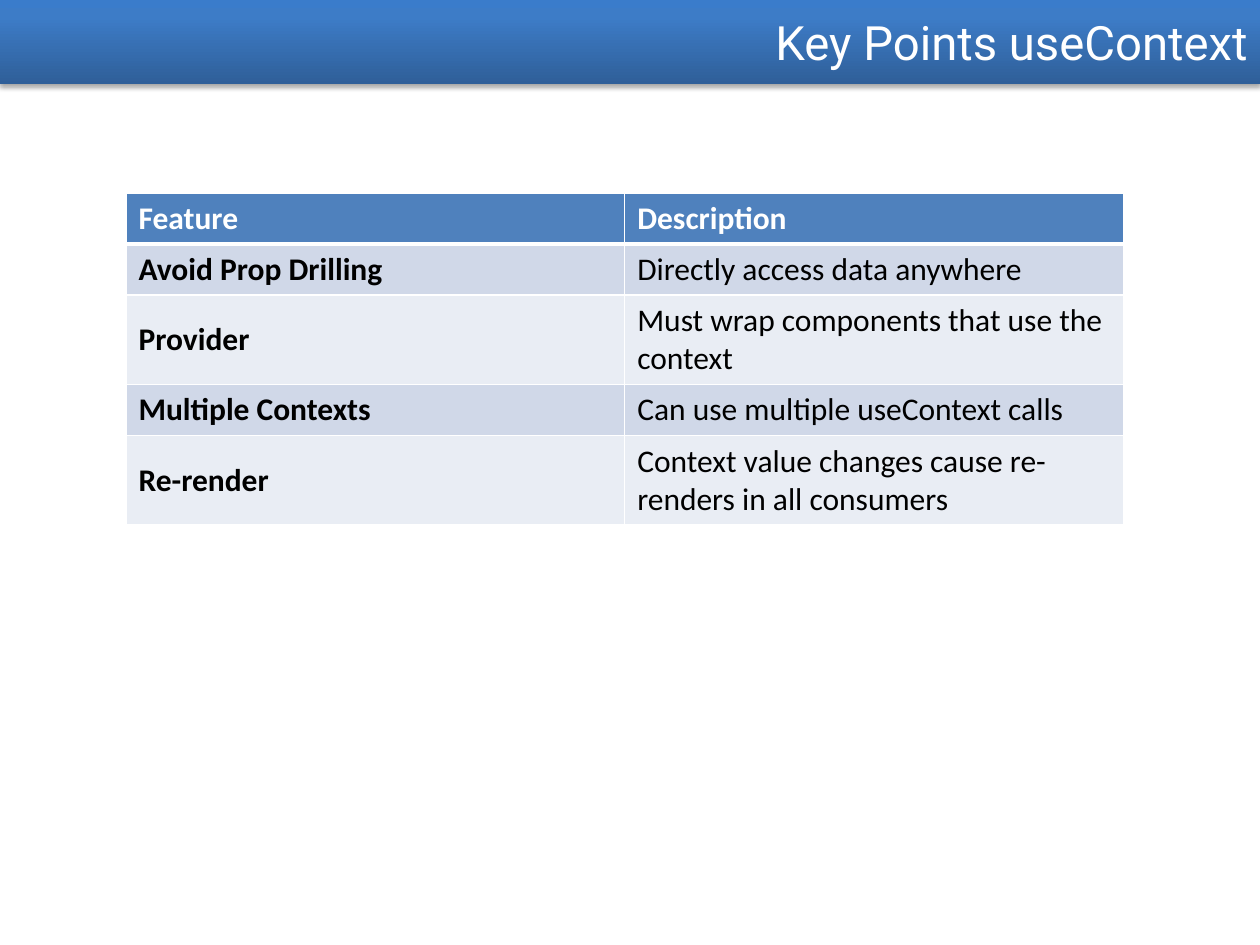
from copy import deepcopy
from dataclasses import dataclass

from lxml.etree import SubElement
from pptx import Presentation
from pptx.dml.color import RGBColor
from pptx.enum.shapes import MSO_SHAPE
from pptx.enum.text import MSO_ANCHOR, PP_ALIGN
from pptx.oxml.ns import qn
from pptx.util import Pt

WHITE, BLACK, HEADER = "FFFFFF", "000000", "4F81BD"
BANDS = ("D0D8E8", "E9EDF4")
BANNER_STOPS = ((0, "2F5F99"), (0.8, "3D7CC7"), (1, "3A7CCB"))
ROW_HEIGHT, TABLE_HEIGHT = 29.2, 188.64


@dataclass
class TableRow:
    """One feature row, with its colours and bottom border width."""

    feature: str
    description: str
    fill: str
    color: str = BLACK
    description_bold: bool = False
    bottom_border: float = 1


HEADING = TableRow("Feature", "Description", HEADER, WHITE, True, 3)
POINTS = (
    ("Avoid Prop Drilling", "Directly access data anywhere"),
    ("Provider", "Must wrap components that use the context"),
    ("Multiple Contexts", "Can use multiple useContext calls"),
    ("Re-render", "Context value changes cause re-renders in all consumers"),
)
ROWS = [HEADING] + [
    TableRow(feature, description, BANDS[index % 2])
    for index, (feature, description) in enumerate(POINTS)
]


def rgb(color: str) -> RGBColor:
    """Turn a hex string into a colour."""
    return RGBColor.from_string(color)


def write_text(frame, text: str, *, size: float, font: str, color: str,
               bold: bool = False, align=PP_ALIGN.LEFT) -> None:
    """Write one formatted paragraph into a text frame."""
    frame.word_wrap = True
    paragraph = frame.paragraphs[0]
    paragraph.alignment = align
    run = paragraph.add_run()
    run.text = text
    run.font.size = Pt(size)
    run.font.name = font
    run.font.bold = bold
    run.font.color.rgb = rgb(color)


def add_shadow(shape) -> None:
    """Give a shape a soft shadow straight below it."""
    shape.shadow.inherit = False
    effects = shape.element.spPr.find(qn("a:effectLst"))
    shadow = SubElement(effects, qn("a:outerShdw"), blurRad=str(Pt(3.1)),
                        dist=str(Pt(1.8)), dir="5400000", rotWithShape="0")
    color = SubElement(shadow, qn("a:srgbClr"), val=BLACK)
    SubElement(color, qn("a:alpha"), val="35000")


def add_banner(slide, text: str) -> None:
    """Draw the gradient title banner across the top."""
    shape = slide.shapes.add_shape(MSO_SHAPE.RECTANGLE, 0, 0, Pt(720), Pt(48))
    shape.line.fill.background()
    shape.fill.gradient()
    shape.fill.gradient_angle = 90
    stop_list = shape.element.spPr.find(f".//{qn('a:gsLst')}")
    stop_list.append(deepcopy(stop_list[-1]))
    for stop, (position, color) in zip(shape.fill.gradient_stops, BANNER_STOPS):
        stop.position = position
        stop.color.rgb = rgb(color)
    add_shadow(shape)
    shape.text_frame.vertical_anchor = MSO_ANCHOR.MIDDLE
    write_text(shape.text_frame, text, size=27, font="Roboto", color=WHITE,
               align=PP_ALIGN.RIGHT)


def set_borders(cell, top: float, bottom: float) -> None:
    """Outline a table cell in white."""
    properties = cell._tc.get_or_add_tcPr()
    widths = {"lnL": 1, "lnR": 1, "lnT": top, "lnB": bottom}
    for index, (side, width) in enumerate(widths.items()):
        line = SubElement(properties, qn(f"a:{side}"), w=str(Pt(width)))
        fill = SubElement(line, qn("a:solidFill"))
        SubElement(fill, qn("a:srgbClr"), val=WHITE)
        properties.insert(index, line)


def add_feature_table(slide, rows: list[TableRow]) -> None:
    """Draw the table of features and descriptions."""
    frame = slide.shapes.add_table(len(rows), 2, Pt(72), Pt(110.2),
                                   Pt(570), Pt(ROW_HEIGHT * len(rows)))
    table = frame.table
    table.horz_banding = False
    top_border = 1
    for index, row in enumerate(rows):
        table.rows[index].height = Pt(ROW_HEIGHT)
        entries = ((row.feature, True), (row.description, row.description_bold))
        for cell, (text, bold) in zip(table.rows[index].cells, entries):
            cell.fill.solid()
            cell.fill.fore_color.rgb = rgb(row.fill)
            cell.vertical_anchor = MSO_ANCHOR.MIDDLE
            set_borders(cell, top_border, row.bottom_border)
            write_text(cell.text_frame, text, size=18, font="Calibri",
                       color=row.color, bold=bold)
        top_border = row.bottom_border
    frame.height = Pt(TABLE_HEIGHT)


def main() -> None:
    """Build and save the presentation."""
    presentation = Presentation()
    presentation.slide_width, presentation.slide_height = Pt(720), Pt(540)
    slide = presentation.slides.add_slide(presentation.slide_layouts[6])
    add_banner(slide, "Key Points useContext")
    add_feature_table(slide, ROWS)
    presentation.save("out.pptx")


if __name__ == "__main__":
    main()
